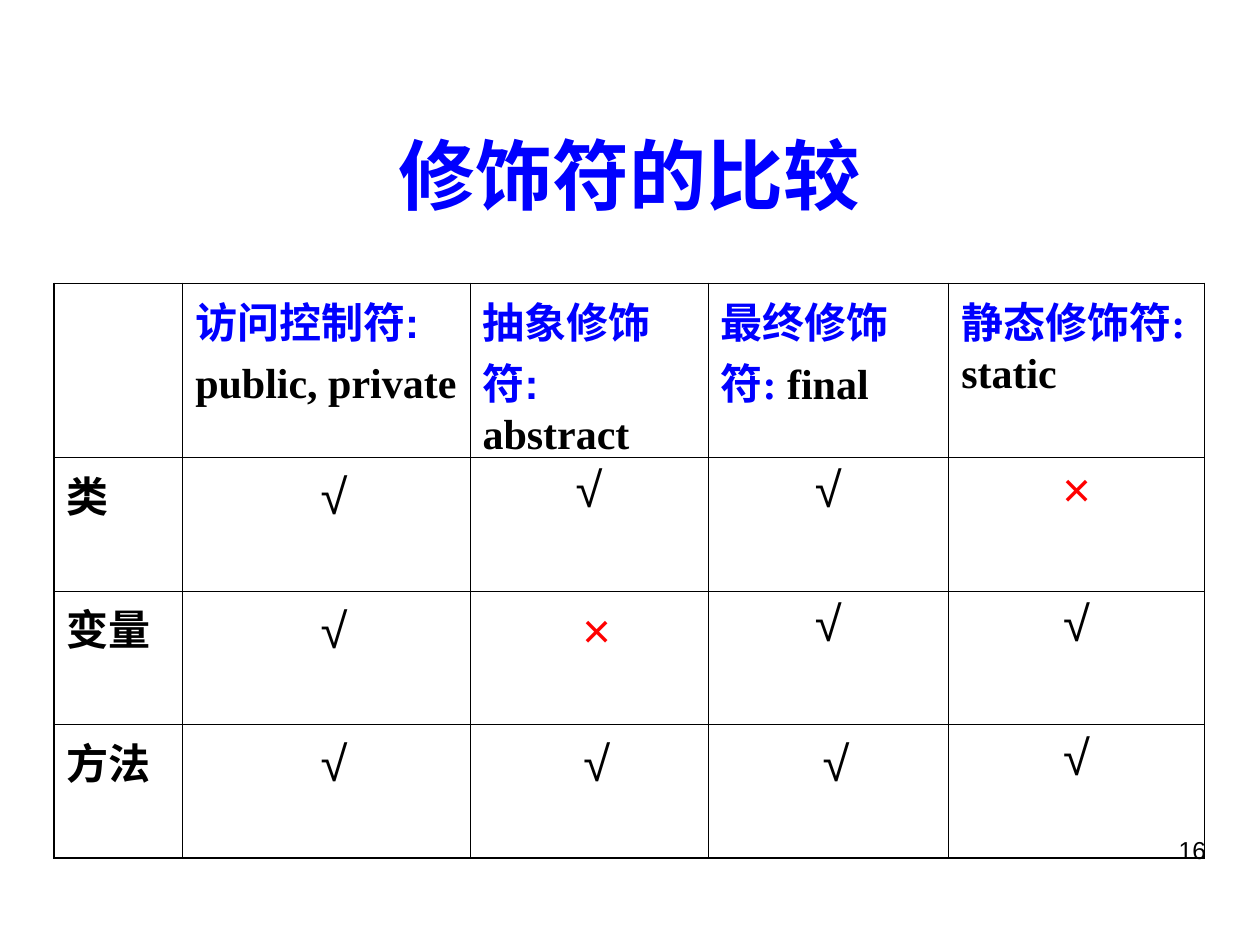
from lxml import etree
from pptx import Presentation, util as u
from pptx.dml.color import RGBColor
from pptx.enum import text
from pptx.oxml.ns import qn

BLUE, BLACK, RED = "0000FF", "000000", "FF0000"
SANS, SERIF = "Arial", "Times New Roman"
TITLE = "修饰符的比较"
PAGE_NUMBER = "16"
HEADINGS = [
    [],
    [[("访问控制符:", SANS, BLUE)], [("public, private", SERIF, BLACK)]],
    [[("抽象修饰符: ", SANS, BLUE), ("abstract", SERIF, BLACK)]],
    [[("最终修饰符:", SERIF, BLUE), (" final", SERIF, BLACK)]],
    [[("静态修饰符:", SERIF, BLUE), (" static", SERIF, BLACK)]],
]
ROWS = [
    ("类", " √", "√", "√", "×"),
    ("变量", " √", " ×", "√", "√"),
    ("方法", " √", " √", " √", "√"),
]
COLUMN_WIDTHS = [1.02, 2.28, 1.89, 1.91, 2.03]
ROW_HEIGHTS = [1.38, 1.06, 1.06, 1.06]
OUTER, INNER = 1.08, 0.45


def color(value):
    return RGBColor.from_string(value)


def style(font, size, name, fill, bold=False):
    font.size, font.name, font.bold = u.Pt(size), name, bold
    font.color.rgb = color(fill)


def add_label(slide, box, content, align, anchor, *font):
    shape = slide.shapes.add_textbox(*map(u.Inches, box))
    frame = shape.text_frame
    frame.word_wrap = True
    frame.vertical_anchor = anchor
    paragraph = frame.paragraphs[0]
    paragraph.text = content
    paragraph.alignment = align
    style(paragraph.font, *font)


def set_borders(cell, row, column):
    outside = {
        "a:lnL": column == 0,
        "a:lnR": column == len(COLUMN_WIDTHS) - 1,
        "a:lnT": row == 0,
        "a:lnB": row == len(ROW_HEIGHTS) - 1,
    }
    properties = cell._tc.get_or_add_tcPr()
    for index, (tag, is_outer) in enumerate(outside.items()):
        line = etree.Element(qn(tag), w=str(u.Pt(OUTER if is_outer else INNER)))
        fill = etree.SubElement(line, qn("a:solidFill"))
        etree.SubElement(fill, qn("a:srgbClr"), val=BLACK)
        properties.insert(index, line)


def fill_heading(cell, lines):
    frame = cell.text_frame
    for index, runs in enumerate(lines):
        paragraph = frame.add_paragraph() if index else frame.paragraphs[0]
        paragraph.space_before = u.Pt(6)
        paragraph._p.get_or_add_pPr().set("hangingPunct", "0")
        for content, name, fill in runs:
            run = paragraph.add_run()
            run.text = content
            style(run.font, 24, name, fill, True)


def fill_mark(cell, content):
    paragraph = cell.text_frame.paragraphs[0]
    paragraph.alignment = text.PP_ALIGN.CENTER
    paragraph.space_before = u.Pt(7)
    for character in content:
        run = paragraph.add_run()
        run.text = character
        style(run.font, 32 if character == " " else 28, SANS,
              RED if character == "×" else BLACK)


def add_comparison(slide):
    frame = slide.shapes.add_table(
        len(ROW_HEIGHTS), len(COLUMN_WIDTHS), u.Inches(0.43), u.Inches(2.25),
        u.Inches(sum(COLUMN_WIDTHS)), u.Inches(sum(ROW_HEIGHTS)))
    table = frame.table
    table.first_row = table.horz_banding = False
    for column, width in zip(table.columns, COLUMN_WIDTHS):
        column.width = u.Inches(width)
    for row, height in zip(table.rows, ROW_HEIGHTS):
        row.height = u.Inches(height)
    for r, row in enumerate([HEADINGS, *ROWS]):
        for c, content in enumerate(row):
            cell = table.cell(r, c)
            cell.fill.background()
            set_borders(cell, r, c)
            if r == 0:
                fill_heading(cell, content)
            elif c == 0:
                fill_heading(cell, [[(content, SANS, BLACK)]])
            else:
                fill_mark(cell, content)


def main():
    presentation = Presentation()
    presentation.slide_width, presentation.slide_height = u.Inches(10), u.Inches(7.5)
    slide = presentation.slides.add_slide(presentation.slide_layouts[6])
    add_label(slide, (7.17, 6.58, 2.5, 0.52), PAGE_NUMBER, text.PP_ALIGN.RIGHT,
              text.MSO_ANCHOR.TOP, 14, SANS, BLACK)
    add_label(slide, (0.33, 0.75, 9.34, 1.25), TITLE, text.PP_ALIGN.CENTER,
              text.MSO_ANCHOR.MIDDLE, 44, SANS, BLUE, True)
    add_comparison(slide)
    presentation.save("out.pptx")


if __name__ == "__main__":
    main()
